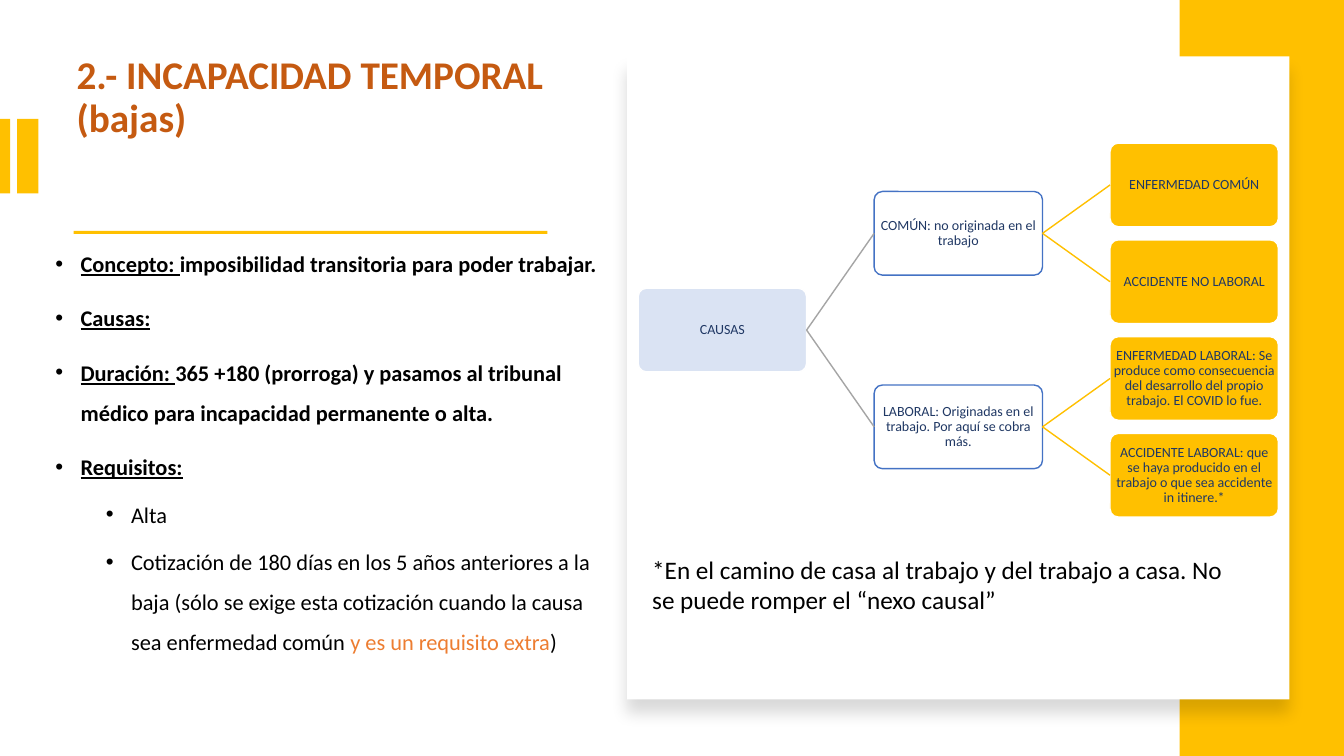
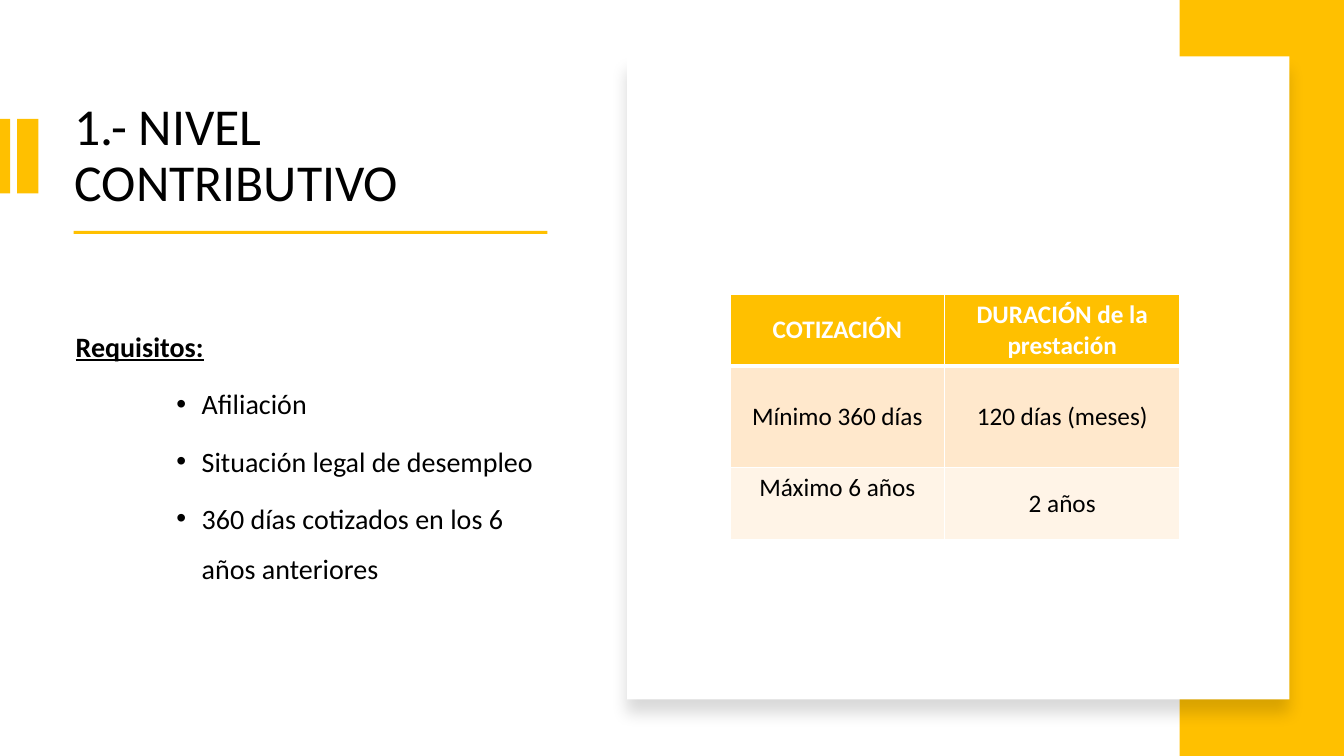
from lxml.etree import SubElement
from pptx import Presentation
from pptx.dml.color import RGBColor
from pptx.enum.shapes import MSO_CONNECTOR, MSO_SHAPE
from pptx.enum.text import MSO_ANCHOR, MSO_AUTO_SIZE, PP_ALIGN
from pptx.oxml.ns import qn
from pptx.util import Inches, Pt

GOLD = RGBColor(0xFF, 0xC0, 0x00)
WHITE = RGBColor(0xFF, 0xFF, 0xFF)
BLACK = RGBColor(0x00, 0x00, 0x00)
RUST = RGBColor(0xC5, 0x5A, 0x11)
ORANGE = RGBColor(0xED, 0x7D, 0x31)
NAVY = RGBColor(0x20, 0x38, 0x64)
BLUE = RGBColor(0x44, 0x72, 0xC4)
PALE_BLUE = RGBColor(0xDA, 0xE3, 0xF3)
GRAY = RGBColor(0xA5, 0xA5, 0xA5)
PEACH = RGBColor(0xFF, 0xE8, 0xCC)
PALE_PEACH = RGBColor(0xFF, 0xF4, 0xE7)

FONT = "Calibri"
HEADING = {"bold": True, "underline": True}
STRONG = {"bold": True}
PLAIN = {}


def write_paragraph(para, spans, size, color=BLACK, **paragraph_format):
    for name, value in paragraph_format.items():
        setattr(para, name, value)
    for text, style in spans:
        span = para.add_run()
        span.text = text
        values = {"name": FONT, "size": Pt(size), "bold": False, **style}
        span.font.color.rgb = values.pop("color", color)
        for name, value in values.items():
            setattr(span.font, name, value)


def add_block(page, kind, frame, fill, line=None):
    block = page.shapes.add_shape(kind, *[Inches(value) for value in frame])
    block.shadow.inherit = False
    block.fill.solid()
    block.fill.fore_color.rgb = fill
    if line is None:
        block.line.fill.background()
    else:
        block.line.color.rgb = line
        block.line.width = Pt(1)
    return block


deck = Presentation()
deck.slide_width, deck.slide_height = Inches(13.33), Inches(7.5)

contents = [
    {
        "title": "2.- INCAPACIDAD TEMPORAL (bajas)",
        "title_frame": (0.66, 0.36, 5.4, 1.23),
        "title_style": {"size": Pt(28), "bold": True, "color": RUST},
        "body_frame": (0.45, 2.3, 5.58, 4.86),
        "body_size": 16,
        "body": [
            (0, True, [("Concepto: ", HEADING),
                       ("imposibilidad transitoria para poder trabajar.", STRONG)]),
            (0, True, [("Causas:", HEADING)]),
            (0, True, [("Duración: ", HEADING),
                       ("365 +180 (prorroga) y pasamos al tribunal médico para "
                        "incapacidad permanente o alta.", STRONG)]),
            (0, True, [("Requisitos:", HEADING)]),
            (1, True, [("Alta", PLAIN)]),
            (1, True, [("Cotización de 180 días en los 5 años anteriores a la baja "
                        "(sólo se exige esta cotización cuando la causa sea "
                        "enfermedad común ", PLAIN),
                       ("y es un requisito extra", {"color": ORANGE}),
                       (")", PLAIN)]),
        ],
    },
    {
        "title": "1.- NIVEL CONTRIBUTIVO",
        "title_frame": (0.64, 0.94, 4.99, 1.23),
        "title_style": {"size": Pt(37)},
        "body_frame": (0.65, 3.05, 4.99, 3.85),
        "body_size": 20,
        "body": [
            (0, False, [("Requisitos:", HEADING)]),
            (2, True, [("Afiliación", PLAIN)]),
            (2, True, [("Situación legal de desempleo", PLAIN)]),
            (2, True, [("360 días cotizados en los 6 años anteriores", PLAIN)]),
        ],
    },
]

gold_frames = [
    (0, 1.18, 0.1, 0.74),
    (0.17, 1.18, 0.21, 0.74),
    (0.73, 2.29, 4.7, 0.03),
    (11.7, 0, 1.63, 7.5),
]

pages = []
for content in contents:
    page = deck.slides.add_slide(deck.slide_layouts[1])
    pages.append(page)
    title, body = page.placeholders
    for box, frame, anchor in [
        (title, content["title_frame"], MSO_ANCHOR.MIDDLE),
        (body, content["body_frame"], MSO_ANCHOR.TOP),
    ]:
        box.left, box.top, box.width, box.height = [Inches(value) for value in frame]
        box.text_frame.word_wrap = True
        box.text_frame.auto_size = MSO_AUTO_SIZE.NONE
        box.text_frame.vertical_anchor = anchor

    write_paragraph(title.text_frame.paragraphs[0],
                    [(content["title"], content["title_style"])], 28,
                    alignment=PP_ALIGN.LEFT, line_spacing=0.9)

    for index, (level, bulleted, spans) in enumerate(content["body"]):
        frame = body.text_frame
        para = frame.add_paragraph() if index else frame.paragraphs[0]
        write_paragraph(para, spans, content["body_size"], level=level,
                        line_spacing=1.5, space_before=Pt(5 if level else 10))
        properties = para._p.get_or_add_pPr()
        if bulleted:
            properties.set("marL", str(Inches(0.25 + 0.5 * level)))
            properties.set("indent", str(Inches(-0.25)))
            SubElement(properties, qn("a:buFont"), typeface="Arial")
            SubElement(properties, qn("a:buChar"), char="•")
        else:
            properties.set("marL", "0")
            properties.set("indent", "0")
            SubElement(properties, qn("a:buNone"))

    for frame in gold_frames:
        add_block(page, MSO_SHAPE.RECTANGLE, frame, GOLD)
    panel = add_block(page, MSO_SHAPE.RECTANGLE, (6.22, 0.56, 6.57, 6.38), WHITE)
    effects = panel._element.spPr.find(qn("a:effectLst"))
    shadow = SubElement(effects, qn("a:outerShdw"), blurRad=str(Pt(11)),
                        dist=str(Pt(10)), dir="5400000", algn="t", rotWithShape="0")
    shadow_color = SubElement(shadow, qn("a:srgbClr"), val=str(BLACK))
    SubElement(shadow_color, qn("a:alpha"), val="15000")

causes_page, benefit_page = pages

tree_left, tree_top = 6.33, 1.42
column_step, row_step = 2.34, 0.96
level_colors = [(PALE_BLUE, WHITE), (WHITE, BLUE), (GOLD, WHITE)]
link_colors = [None, GRAY, GOLD]
nodes = [
    ("CAUSAS", 0, 1.5, None),
    ("COMÚN: no originada en el trabajo", 1, 0.5, 0),
    ("ENFERMEDAD COMÚN", 2, 0, 1),
    ("ACCIDENTE NO LABORAL", 2, 1, 1),
    ("LABORAL: Originadas en el trabajo. Por aquí se cobra más.", 1, 2.5, 0),
    ("ENFERMEDAD LABORAL: Se produce como consecuencia del desarrollo "
     "del propio trabajo. El COVID lo fue.", 2, 2, 4),
    ("ACCIDENTE LABORAL: que se haya producido en el trabajo o que sea "
     "accidente in itinere.*", 2, 3, 4),
]
boxes = []
for text, level, row, parent in nodes:
    fill, line = level_colors[level]
    box = add_block(causes_page, MSO_SHAPE.ROUNDED_RECTANGLE,
                    (tree_left + column_step * level, tree_top + row_step * row, 1.67, 0.83),
                    fill, line)
    box.adjustments[0] = 0.1
    frame = box.text_frame
    frame.word_wrap = True
    frame.vertical_anchor = MSO_ANCHOR.MIDDLE
    for side in ("left", "top", "right", "bottom"):
        setattr(frame, f"margin_{side}", Inches(0.01))
    write_paragraph(frame.paragraphs[0], [(text, PLAIN)], 10, NAVY,
                    alignment=PP_ALIGN.CENTER, line_spacing=0.9)
    boxes.append(box)
    if parent is not None:
        link = causes_page.shapes.add_connector(MSO_CONNECTOR.STRAIGHT, 0, 0, 0, 0)
        link.begin_connect(boxes[parent], 3)
        link.end_connect(box, 1)
        link.line.color.rgb = link_colors[level]
        link.line.width = Pt(1)
        SubElement(link._element.spPr, qn("a:effectLst"))

footnote = causes_page.shapes.add_textbox(Inches(6.37), Inches(5.45), Inches(6.13), Inches(0.71))
footnote.text_frame.word_wrap = True
write_paragraph(footnote.text_frame.paragraphs[0],
                [("*En el camino de casa al trabajo y del trabajo a casa. "
                  "No se puede romper el “nexo causal”", PLAIN)], 18)

rows = [
    (0.7, GOLD, WHITE, STRONG, ["COTIZACIÓN", "DURACIÓN de la prestación"]),
    (1.01, PEACH, BLACK, PLAIN, ["Mínimo 360 días", "120 días (meses)"]),
    (0.71, PALE_PEACH, BLACK, PLAIN, ["Máximo 6 años", "2 años"]),
]
table = benefit_page.shapes.add_table(3, 2, Inches(7.24), Inches(2.92),
                                      Inches(4.46), Inches(2.42)).table
for column, width in zip(table.columns, (2.13, 2.33)):
    column.width = Inches(width)
for row_index, (height, fill, color, style, texts) in enumerate(rows):
    table.rows[row_index].height = Inches(height)
    for column_index, text in enumerate(texts):
        cell = table.cell(row_index, column_index)
        cell.vertical_anchor = MSO_ANCHOR.MIDDLE
        write_paragraph(cell.text_frame.paragraphs[0], [(text, style)], 18, color,
                        alignment=PP_ALIGN.CENTER)
        edge_widths = {"L": 1, "R": 1, "T": 3 if row_index == 1 else 1,
                       "B": 3 if row_index == 0 else 1}
        for edge, width in edge_widths.items():
            border = SubElement(cell._tc.get_or_add_tcPr(), qn(f"a:ln{edge}"), w=str(Pt(width)))
            SubElement(SubElement(border, qn("a:solidFill")), qn("a:srgbClr"), val=str(WHITE))
        cell.fill.solid()
        cell.fill.fore_color.rgb = fill
table.cell(2, 0).vertical_anchor = MSO_ANCHOR.TOP

deck.save("out.pptx")
